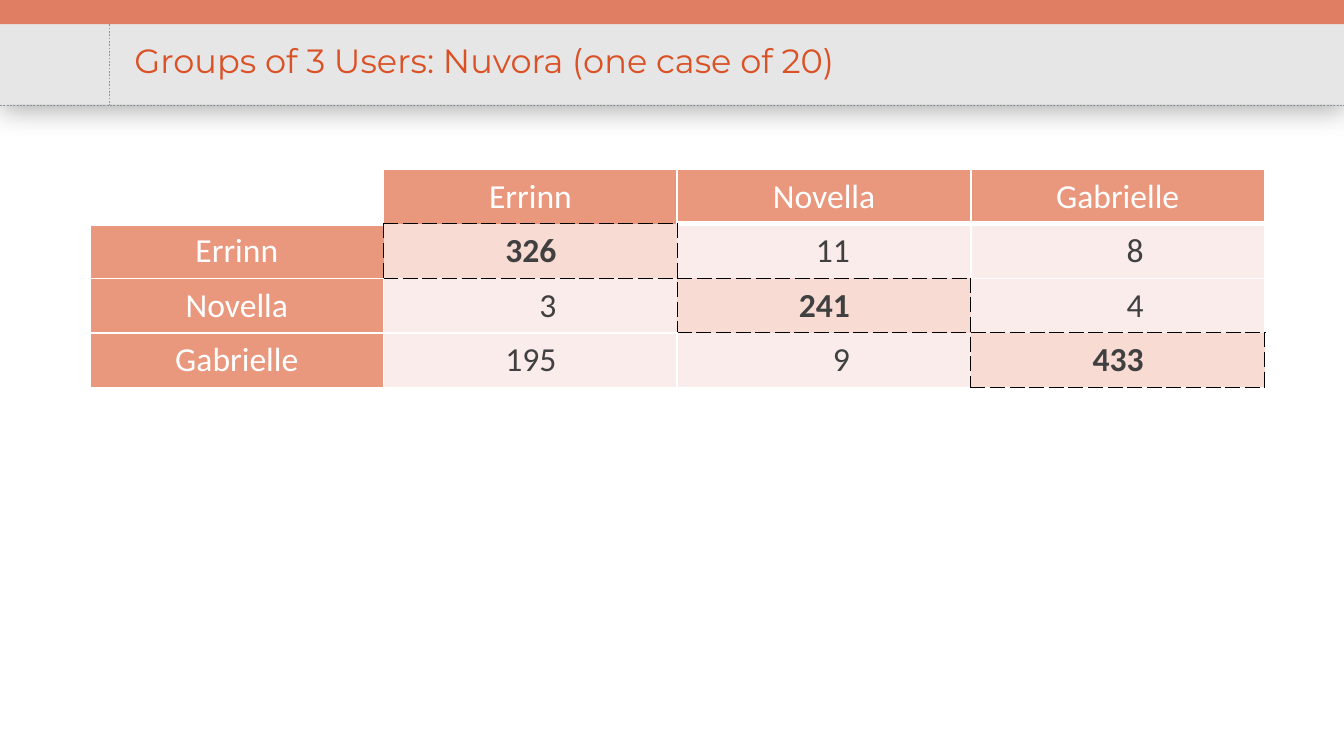
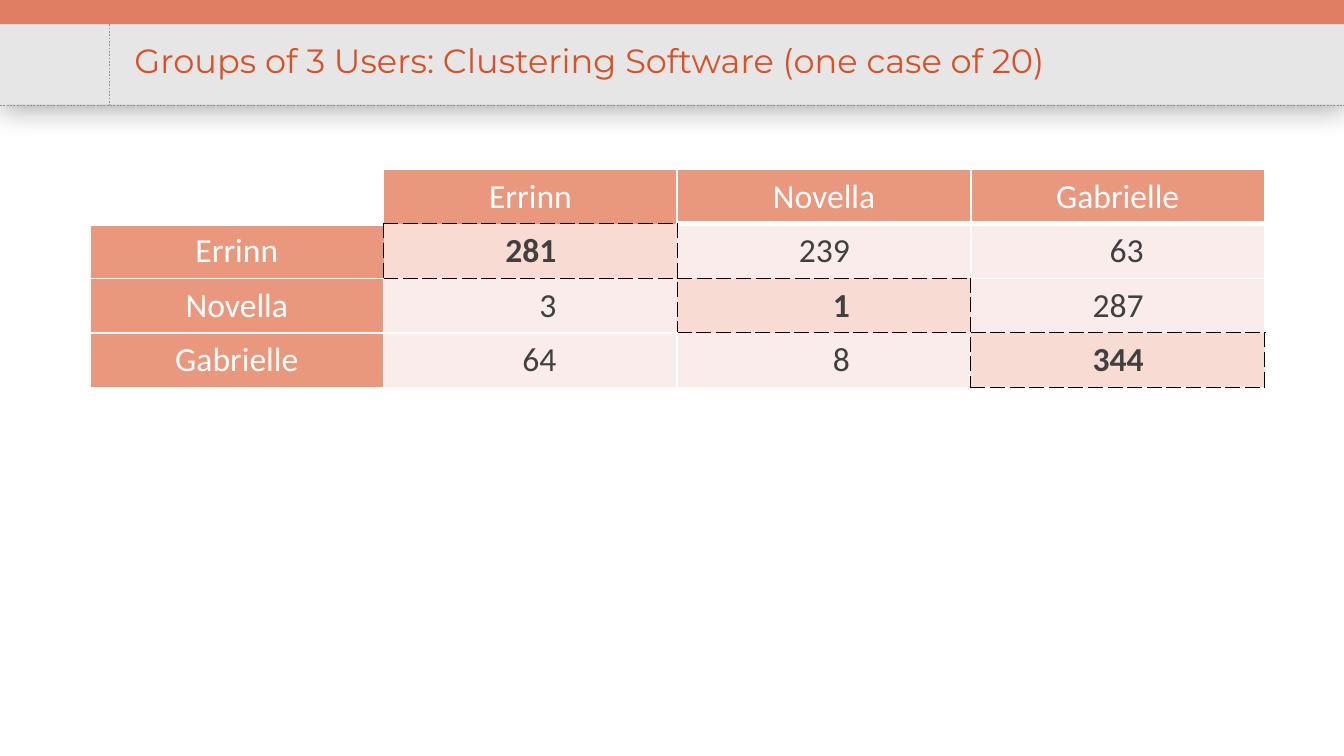
from dataclasses import dataclass
from typing import NamedTuple

from lxml import etree
from pptx import Presentation
from pptx import util as u
from pptx.dml.color import RGBColor
from pptx.enum import dml, shapes, text
from pptx.oxml import parse_xml
from pptx.oxml.ns import nsdecls, qn

SLIDE_W = u.Inches(10)
SLIDE_H = SLIDE_W * 9 // 16


@dataclass(frozen=True)
class Theme:
    accent: str = "E07E64"
    band: str = "E6E6E6"
    rule: str = "88969A"
    title: str = "DA5126"
    head: str = "E9977D"
    body: str = "F9ECEA"
    match: str = "F8DCD4"
    ink: str = "404040"
    white: str = "FFFFFF"
    black: str = "000000"
    title_font: str = "Montserrat"
    table_font: str = "Calibri"
    size: int = 18


class Box(NamedTuple):
    """Left, top, width and height in percent of the slide."""
    x: float
    y: float
    w: float
    h: float

    def emu(self) -> tuple[int, int, int, int]:
        return (round(SLIDE_W * self.x / 100), round(SLIDE_H * self.y / 100),
                round(SLIDE_W * self.w / 100), round(SLIDE_H * self.h / 100))


class Band(NamedTuple):
    box: Box
    color: str
    shadow: bool


class Border(NamedTuple):
    color: str
    points: float
    dash: str = "solid"


class Matrix(NamedTuple):
    title: str
    title_width: float
    counts: list[list[int]]


THEME = Theme()

# Shared frame
STRIP_H, HEADER_END, MARGIN = 3.2, 13.87, 8.1
BANDS = [
    Band(Box(0, STRIP_H, 100, HEADER_END - STRIP_H), THEME.band, True),
    Band(Box(0, 0, 100, STRIP_H), THEME.accent, False),
]
RULES = [
    Box(0, HEADER_END, 100, 0),
    Box(MARGIN, STRIP_H, 0, HEADER_END - STRIP_H),
]
TABLE_BOX = Box(6.7, 22.4, 87.4, 28.8)

# Table edges
THIN = Border(THEME.white, 1)
THICK = Border(THEME.white, 3)
DASHED = Border(THEME.black, 0.5, "sysDash")
SIDES = {"L": (0, -1), "R": (0, 1), "T": (-1, 0), "B": (1, 0)}

# Content
USERS = ["Errinn", "Novella", "Gabrielle"]
MATRICES = [
    Matrix("Groups of 3 Users: Nuvora (one case of 20)", 64.2,
           [[326, 11, 8], [3, 241, 4], [195, 9, 433]]),
    Matrix("Groups of 3 Users: Clustering Software (one case of 20)", 85,
           [[281, 239, 63], [3, 1, 287], [64, 8, 344]]),
]


def rgb(color: str) -> RGBColor:
    return RGBColor.from_string(color)


def add_run(p, words: str, font: str, color: str, bold: bool = False) -> None:
    r = p.add_run()
    r.text = words
    r.font.name = font
    r.font.size = u.Pt(THEME.size)
    r.font.bold = bold
    r.font.color.rgb = rgb(color)


def add_band(slide, band: Band):
    sp = slide.shapes.add_shape(shapes.MSO_SHAPE.RECTANGLE, *band.box.emu())
    sp.fill.solid()
    sp.fill.fore_color.rgb = rgb(band.color)
    sp.line.fill.background()
    sp.shadow.inherit = False
    if band.shadow:
        effects = sp.element.spPr.find(qn("a:effectLst"))
        effects.append(parse_xml(
            f'<a:outerShdw {nsdecls("a")} blurRad="{u.Pt(15.2)}" dist="{u.Pt(2)}" '
            f'dir="5400000" algn="t" rotWithShape="0"><a:srgbClr val="{THEME.black}">'
            '<a:alpha val="34000"/></a:srgbClr></a:outerShdw>'))
    return sp


def add_rule(slide, box: Box):
    x, y, w, h = box.emu()
    line = slide.shapes.add_connector(
        shapes.MSO_CONNECTOR.STRAIGHT, x, y, x + w, y + h)
    line.line.color.rgb = rgb(THEME.rule)
    line.line.width = u.Pt(0.25)
    line.line.dash_style = dml.MSO_LINE.DASH
    etree.SubElement(line.element.spPr, qn("a:effectLst"))
    return line


def move_to_layout(slide, parts: list) -> None:
    """Put the frame behind the placeholders of the slide's layout."""
    tree = slide.slide_layout.element.cSld.spTree
    for i, part in enumerate(parts):
        part.element.xpath(".//p:cNvPr")[0].set("id", str(100 + i))
        tree.insert(2 + i, part.element)


def set_title(slide, matrix: Matrix) -> None:
    sp = slide.shapes.title
    sp.left, sp.top, sp.width, sp.height = Box(9, 4.44, matrix.title_width, 8).emu()
    tf = sp.text_frame
    tf.word_wrap = True
    tf.auto_size = text.MSO_AUTO_SIZE.NONE
    tf.vertical_anchor = text.MSO_ANCHOR.TOP
    p = tf.paragraphs[0]
    p.alignment = text.PP_ALIGN.LEFT
    add_run(p, matrix.title, THEME.title_font, THEME.title)


def on_diagonal(row: int, col: int) -> bool:
    return row == col and row > 0


def edge(row: int, col: int, side: str) -> Border:
    down, across = SIDES[side]
    if on_diagonal(row, col) or on_diagonal(row + down, col + across):
        return DASHED
    return THICK if row == 0 and side == "B" else THIN


def set_borders(cell, row: int, col: int) -> None:
    tc_pr = cell._tc.get_or_add_tcPr()
    for i, side in enumerate(SIDES):
        b = edge(row, col, side)
        tc_pr.insert(i, parse_xml(
            f'<a:ln{side} {nsdecls("a")} w="{u.Pt(b.points)}"><a:solidFill>'
            f'<a:srgbClr val="{b.color}"/></a:solidFill>'
            f'<a:prstDash val="{b.dash}"/></a:ln{side}>'))


def fill_cell(cell, row: int, col: int, words: str) -> None:
    heading, match = row == 0 or col == 0, on_diagonal(row, col)
    fill = THEME.head if heading else THEME.match if match else THEME.body
    cell.fill.solid()
    cell.fill.fore_color.rgb = rgb(fill if words else THEME.white)
    set_borders(cell, row, col)
    if not words:
        return
    p = cell.text_frame.paragraphs[0]
    if heading:
        p.alignment = text.PP_ALIGN.CENTER
    else:
        p.alignment = text.PP_ALIGN.RIGHT
        cell.margin_right = u.Inches(0.9)
    add_run(p, words, THEME.table_font, THEME.white if heading else THEME.ink, match)


def add_matrix(slide, matrix: Matrix) -> None:
    rows = [["", *USERS]]
    rows += [[user, *map(str, line)] for user, line in zip(USERS, matrix.counts)]
    n = len(rows)
    table = slide.shapes.add_table(n, n, *TABLE_BOX.emu()).table
    table.first_row = table.horz_banding = False
    for row, line in enumerate(rows):
        for col, words in enumerate(line):
            fill_cell(table.cell(row, col), row, col, words)


def main() -> None:
    prs = Presentation()
    prs.slide_width, prs.slide_height = SLIDE_W, SLIDE_H
    layout = prs.slide_layouts.get_by_name("Title Only")

    # Slides
    for matrix in MATRICES:
        slide = prs.slides.add_slide(layout)
        set_title(slide, matrix)
        add_matrix(slide, matrix)

    # Frame, drawn once for all slides
    first = prs.slides[0]
    move_to_layout(first, [add_band(first, b) for b in BANDS]
                   + [add_rule(first, box) for box in RULES])
    prs.save("out.pptx")


if __name__ == "__main__":
    main()
